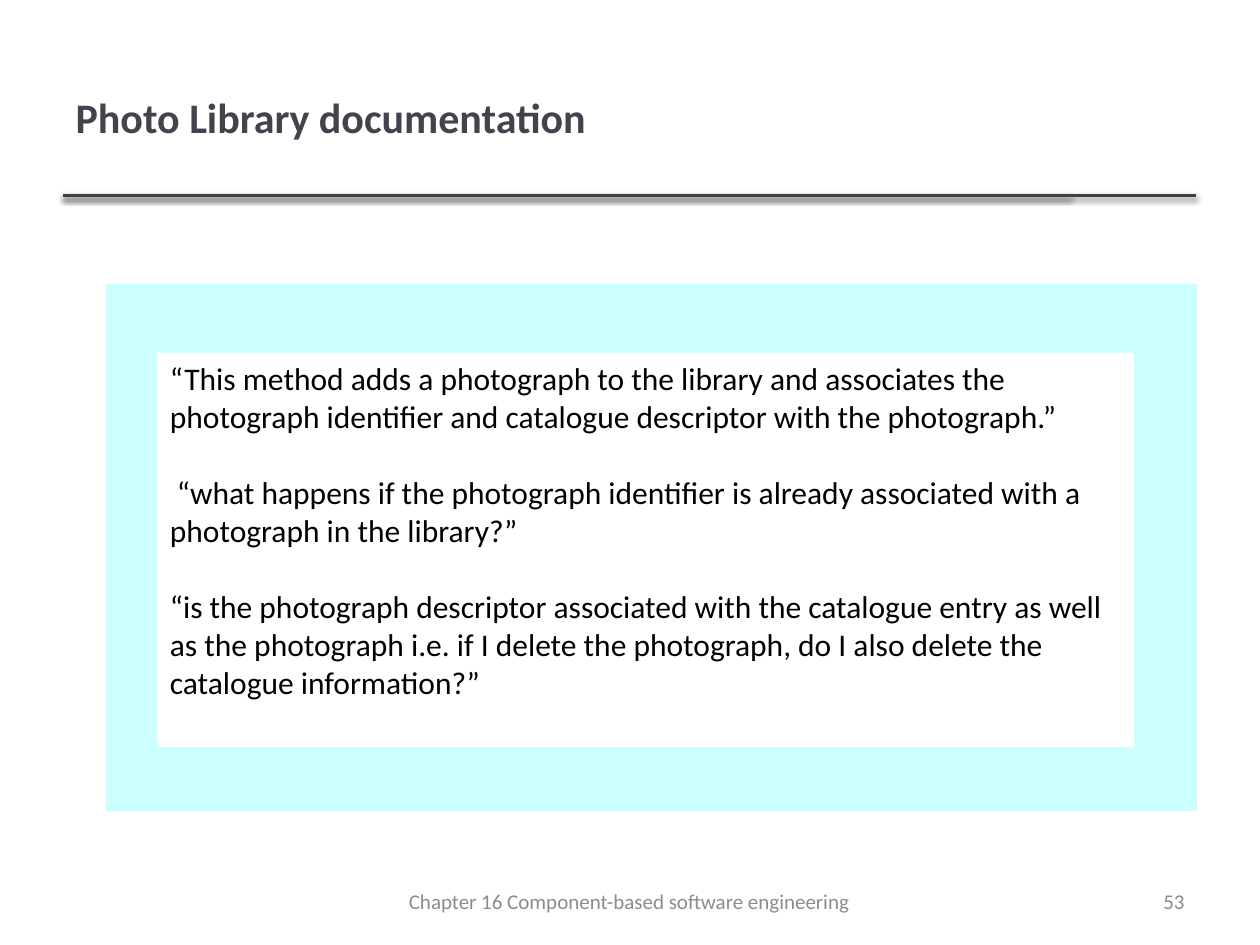
from dataclasses import dataclass

from lxml.etree import SubElement
from pptx import Presentation
from pptx.dml.color import RGBColor as RGB
from pptx.enum.shapes import MSO_CONNECTOR as CONN, MSO_SHAPE as SHAPE
from pptx.enum.text import MSO_ANCHOR as ANCHOR, MSO_AUTO_SIZE as FIT, PP_ALIGN as ALIGN
from pptx.oxml.ns import qn
from pptx.util import Inches, Pt


@dataclass(frozen=True)
class Theme:
    font: str = "Calibri"
    title: str = "46424D"
    body: str = "000000"
    footer: str = "8C8C8C"
    rule: str = "404040"
    frame: str = "CCFFFF"
    panel: str = "FFFFFF"
    title_size: int = 24
    body_size: int = 18
    footer_size: int = 12
    quote_gap: int = 22


THEME = Theme()
QUOTES = [
    "“This method adds a photograph to the library and associates the "
    "photograph identifier and catalogue descriptor with the photograph.”",
    " “what happens if the photograph identifier is already associated with a "
    "photograph in the library?”",
    "“is the photograph descriptor associated with the catalogue entry as well "
    "as the photograph i.e. if I delete the photograph, do I also delete the "
    "catalogue information?”",
]


def set_attrs(obj, values):
    for name, value in values.items():
        setattr(obj, name, value)


def write(sp, lines, size, color, bold=False, align=ALIGN.LEFT, anchor=ANCHOR.MIDDLE, gap=0):
    tf = sp.text_frame
    set_attrs(tf, {"word_wrap": True, "auto_size": FIT.NONE, "vertical_anchor": anchor})
    for i, line in enumerate(lines):
        p = tf.add_paragraph() if i else tf.paragraphs[0]
        set_attrs(p, {"alignment": align, "space_before": Pt(0),
                      "space_after": Pt(gap if i < len(lines) - 1 else 0)})
        r = p.add_run()
        r.text = line
        set_attrs(r.font, {"name": THEME.font, "size": Pt(size), "bold": bold})
        r.font.color.rgb = RGB.from_string(color)


def add_title(s, text):
    sp = s.shapes.title
    box = {"left": 0.5, "top": 0.3, "width": 7.98, "height": 1.25}
    set_attrs(sp, {name: Inches(v) for name, v in box.items()})
    write(sp, [text], THEME.title_size, THEME.title, bold=True)


def add_rule(s, right):
    y = Inches(1.55)
    line = s.shapes.add_connector(CONN.STRAIGHT, Inches(0.5), y, Inches(right), y)
    line.line.width = Pt(2)
    line.line.color.rgb = RGB.from_string(THEME.rule)
    effects = SubElement(line._element.spPr, qn("a:effectLst"))
    shadow = SubElement(effects, qn("a:outerShdw"), blurRad="40000", dist="20000",
                        dir="5400000", rotWithShape="0")
    color = SubElement(shadow, qn("a:srgbClr"), val="000000")
    SubElement(color, qn("a:alpha"), val="38000")


def add_rect(s, box, fill):
    sp = s.shapes.add_shape(SHAPE.RECTANGLE, *map(Inches, box))
    sp.shadow.inherit = False
    sp.fill.solid()
    sp.fill.fore_color.rgb = RGB.from_string(fill)
    sp.line.fill.background()
    return sp


def add_footer(s, left, width, text, align):
    sp = s.shapes.add_textbox(*map(Inches, (left, 6.95, width, 0.4)))
    write(sp, [text], THEME.footer_size, THEME.footer, align=align)


def main():
    prs = Presentation()
    set_attrs(prs, {"slide_width": Inches(10), "slide_height": Inches(7.5)})
    s = prs.slides.add_slide(prs.slide_layouts[5])
    for right in (8.49, 9.49):
        add_rule(s, right)
    add_title(s, "Photo Library documentation")
    add_footer(s, 2.83, 4.33, "Chapter 16 Component-based software engineering", ALIGN.CENTER)
    add_footer(s, 7.17, 2.33, "53", ALIGN.RIGHT)
    add_rect(s, (0.84, 2.25, 8.66, 4.19), THEME.frame)
    panel = add_rect(s, (1.25, 2.8, 7.75, 3.13), THEME.panel)
    write(panel, QUOTES, THEME.body_size, THEME.body, anchor=ANCHOR.TOP, gap=THEME.quote_gap)
    prs.save("out.pptx")


if __name__ == "__main__":
    main()
